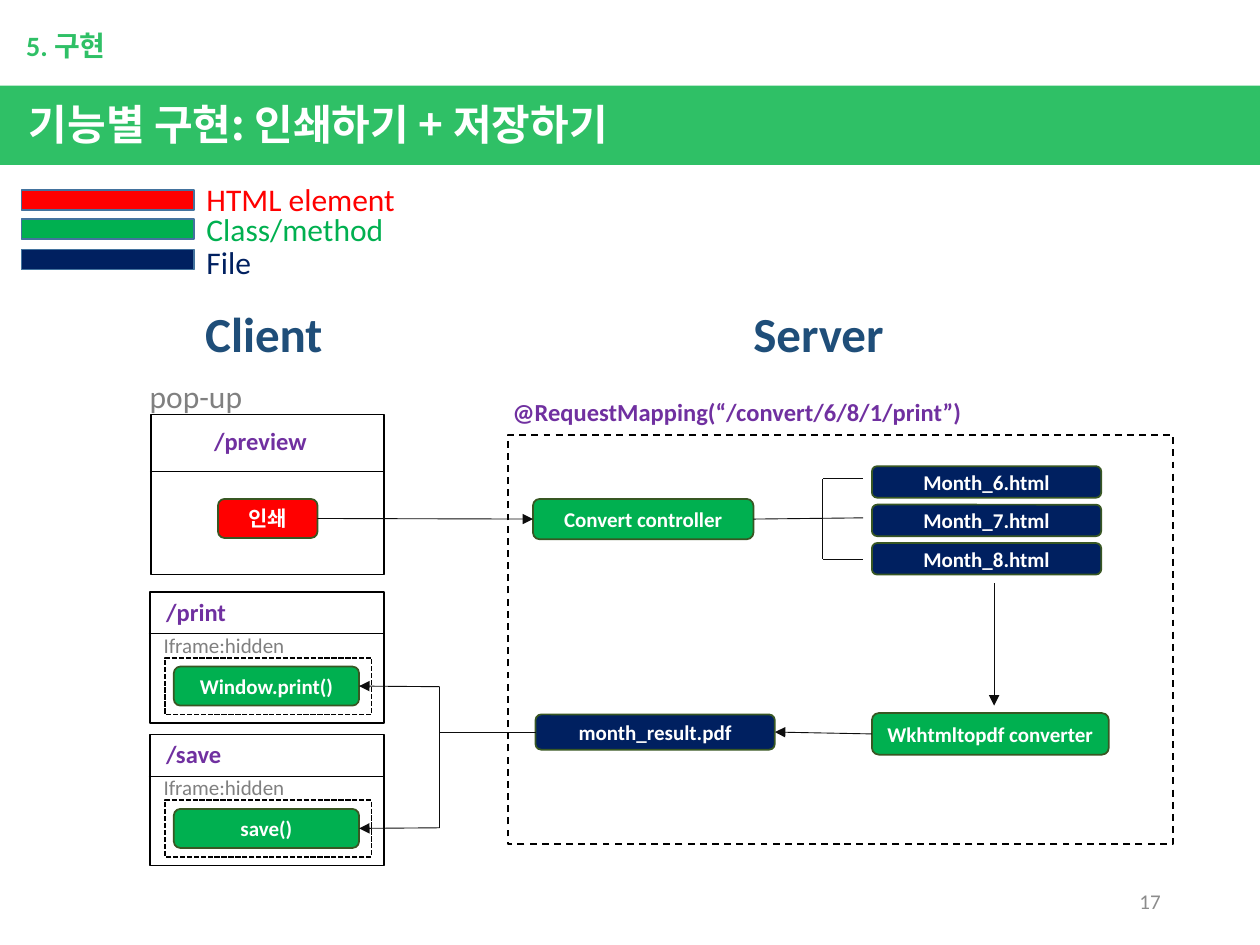
import pptx
import pptx.dml.color
import pptx.enum.dml
import pptx.enum.shapes
import pptx.enum.text
import pptx.oxml.ns
import pptx.util
from lxml import etree

Inches = pptx.util.Inches
Pt = pptx.util.Pt
Shapes = pptx.enum.shapes.MSO_SHAPE
Dash = pptx.enum.dml.MSO_LINE
Align = pptx.enum.text.PP_ALIGN
Anchor = pptx.enum.text.MSO_ANCHOR

BRAND, RED, GREEN, NAVY = "2FC066", "FF0000", "00B050", "002060"
PURPLE, TITLE_BLUE, GRAY, BLACK, WHITE = "7030A0", "1F4E79", "808080", "000000", "FFFFFF"
ARROW, LEGEND_EDGE, NODE_EDGE = "0D0D0D", "43739E", "385723"
KOREAN = "Noto Sans CJK KR"


def color(value):
    return pptx.dml.color.RGBColor.from_string(value)


def add_xml(parent, tag, **attributes):
    return etree.SubElement(parent, pptx.oxml.ns.qn(tag), **attributes)


def write(frame, text, size=12, fill=WHITE, bold=False, font="Calibri",
          align=Align.LEFT, anchor=Anchor.TOP, wrap=True):
    frame.word_wrap = wrap
    frame.vertical_anchor = anchor
    para = frame.paragraphs[0]
    para.alignment = align
    span = para.add_run()
    span.text = text
    span.font.size = Pt(size)
    span.font.bold = bold
    span.font.name = font
    span.font.color.rgb = color(fill)
    add_xml(span.font._element, "a:ea", typeface=KOREAN)


class Diagram:
    def __init__(self, page):
        self.page = page

    def box(self, left, top, width, height, fill=None, edge=None, dash=None,
            kind=Shapes.RECTANGLE):
        box = self.page.shapes.add_shape(
            kind, Inches(left), Inches(top), Inches(width), Inches(height))
        box.shadow.inherit = False
        if fill:
            box.fill.solid()
            box.fill.fore_color.rgb = color(fill)
        else:
            box.fill.background()
        if edge:
            box.line.color.rgb = color(edge)
            box.line.width = Pt(1)
            if dash:
                box.line.dash_style = dash
        else:
            box.line.fill.background()
        return box

    def node(self, text, left, top, width, height, fill):
        node = self.box(left, top, width, height, fill, NODE_EDGE,
                        kind=Shapes.ROUNDED_RECTANGLE)
        write(node.text_frame, text, bold=True, align=Align.CENTER, anchor=Anchor.MIDDLE)
        return node

    def label(self, text, left, top, width, height, **style):
        label = self.page.shapes.add_textbox(
            Inches(left), Inches(top), Inches(width), Inches(height))
        write(label.text_frame, text, **style)

    def line(self, start, end, edge=ARROW, arrow=False, source=None, target=None):
        line = self.page.shapes.add_connector(
            pptx.enum.shapes.MSO_CONNECTOR.STRAIGHT,
            Inches(start[0]), Inches(start[1]), Inches(end[0]), Inches(end[1]))
        line.line.color.rgb = color(edge)
        line.line.width = Pt(0.5)
        if source:
            line.begin_connect(*source)
        if target:
            line.end_connect(*target)
        if arrow:
            add_xml(line.line._get_or_add_ln(), "a:tailEnd", type="triangle")
        add_xml(line._element.spPr, "a:effectLst")

    def window(self, title, method, top, title_width):
        self.box(1.19, top, 1.86, 1.04, WHITE, BLACK)
        self.line((1.18, top + 0.33), (3.05, top + 0.33), BLACK)
        self.label(title, 1.22, top - 0.01, title_width, 0.34,
                   size=14, fill=PURPLE, bold=True, wrap=False)
        node = self.node(method, 1.38, top + 0.59, 1.47, 0.31, GREEN)
        self.label("Iframe:hidden", 1.2, top + 0.27, 1.17, 0.3, fill=GRAY, wrap=False)
        self.box(1.31, top + 0.52, 1.64, 0.45, edge=BLACK, dash=Dash.SQUARE_DOT)
        return node


def draw_header(diagram):
    diagram.box(0, 0.68, 10, 0.63, BRAND)
    diagram.label("기능별 구현: 인쇄하기 + 저장하기", 0.13, 0.73, 7.22, 0.5,
                  size=24, bold=True, font=KOREAN)
    diagram.label("5. 구현", 0.11, 0.18, 7.22, 0.37, size=16, fill=BRAND, bold=True)
    diagram.label("17", 7.06, 6.95, 2.25, 0.4, fill="8C8C8C",
                  align=Align.RIGHT, anchor=Anchor.MIDDLE)
    legend = [("HTML element", RED, 1.51, 1.38, 1.72),
              ("Class/method", GREEN, 1.74, 1.62, 1.62),
              ("File", NAVY, 1.98, 1.88, 0.57)]
    for text, fill, bar_top, text_top, width in legend:
        diagram.box(0.17, bar_top, 1.37, 0.16, fill, LEGEND_EDGE)
        diagram.label(text, 1.54, text_top, width, 0.4, size=18, fill=fill, wrap=False)
    for text, left in (("Client", 1.53), ("Server", 5.88)):
        diagram.label(text, left, 2.36, 1.45, 0.57, size=28, fill=TITLE_BLUE, bold=True)


def draw_client(diagram):
    diagram.box(1.2, 3.29, 1.85, 1.27, WHITE, BLACK)
    diagram.line((1.19, 3.74), (3.05, 3.74), BLACK)
    diagram.label("/preview", 1.6, 3.33, 0.99, 0.34,
                  size=14, fill=PURPLE, bold=True, wrap=False)
    diagram.label("pop-up", 1.09, 2.94, 1, 0.4, size=18, fill=GRAY, wrap=False)
    button = diagram.node("인쇄", 1.73, 3.96, 0.79, 0.31, RED)
    printer = diagram.window("/print", "Window.print()", 4.7, 0.68)
    saver = diagram.window("/save", "save()", 5.83, 0.64)
    return button, printer, saver


def draw_server(diagram):
    diagram.box(4.03, 3.45, 5.28, 3.25, WHITE, BLACK, Dash.DASH)
    diagram.label("@RequestMapping(“/convert/6/8/1/print”)", 3.97, 3.1, 4.53, 0.34,
                  size=14, fill=PURPLE, bold=True)
    result = diagram.node("month_result.pdf", 4.25, 5.67, 1.9, 0.28, NAVY)
    controller = diagram.node("Convert controller", 4.23, 3.96, 1.75, 0.32, GREEN)
    converter = diagram.node("Wkhtmltopdf converter", 6.92, 5.66, 1.88, 0.33, GREEN)
    for index in range(3):
        diagram.node(f"Month_{index + 6}.html", 6.92, 3.7 + index * 0.305, 1.82, 0.25, NAVY)
    return result, controller, converter


def draw_flow(diagram, button, printer, saver, result, controller, converter):
    diagram.line((2.52, 4.11), (4.23, 4.12), arrow=True,
                 source=(button, 3), target=(controller, 1))
    diagram.line((5.98, 4.12), (6.85, 4.11), source=(controller, 3))
    diagram.line((6.53, 3.8), (6.53, 4.44))
    for height in (3.8, 4.44):
        diagram.line((6.53, height), (6.85, height))
    diagram.line((7.89, 4.63), (7.89, 5.6), arrow=True)
    diagram.line((6.92, 5.82), (6.15, 5.81), arrow=True,
                 source=(converter, 1), target=(result, 3))
    diagram.line((4.25, 5.81), (3.49, 5.81), source=(result, 1))
    diagram.line((3.49, 5.45), (3.49, 6.57))
    for node, height in ((printer, 5.45), (saver, 6.57)):
        diagram.line((3.49, height), (2.85, height), arrow=True, target=(node, 3))


def main():
    deck = pptx.Presentation()
    deck.slide_width = Inches(10)
    deck.slide_height = Inches(7.5)
    diagram = Diagram(deck.slides.add_slide(deck.slide_layouts[6]))
    draw_header(diagram)
    client = draw_client(diagram)
    server = draw_server(diagram)
    draw_flow(diagram, *client, *server)
    deck.save("out.pptx")


if __name__ == "__main__":
    main()
